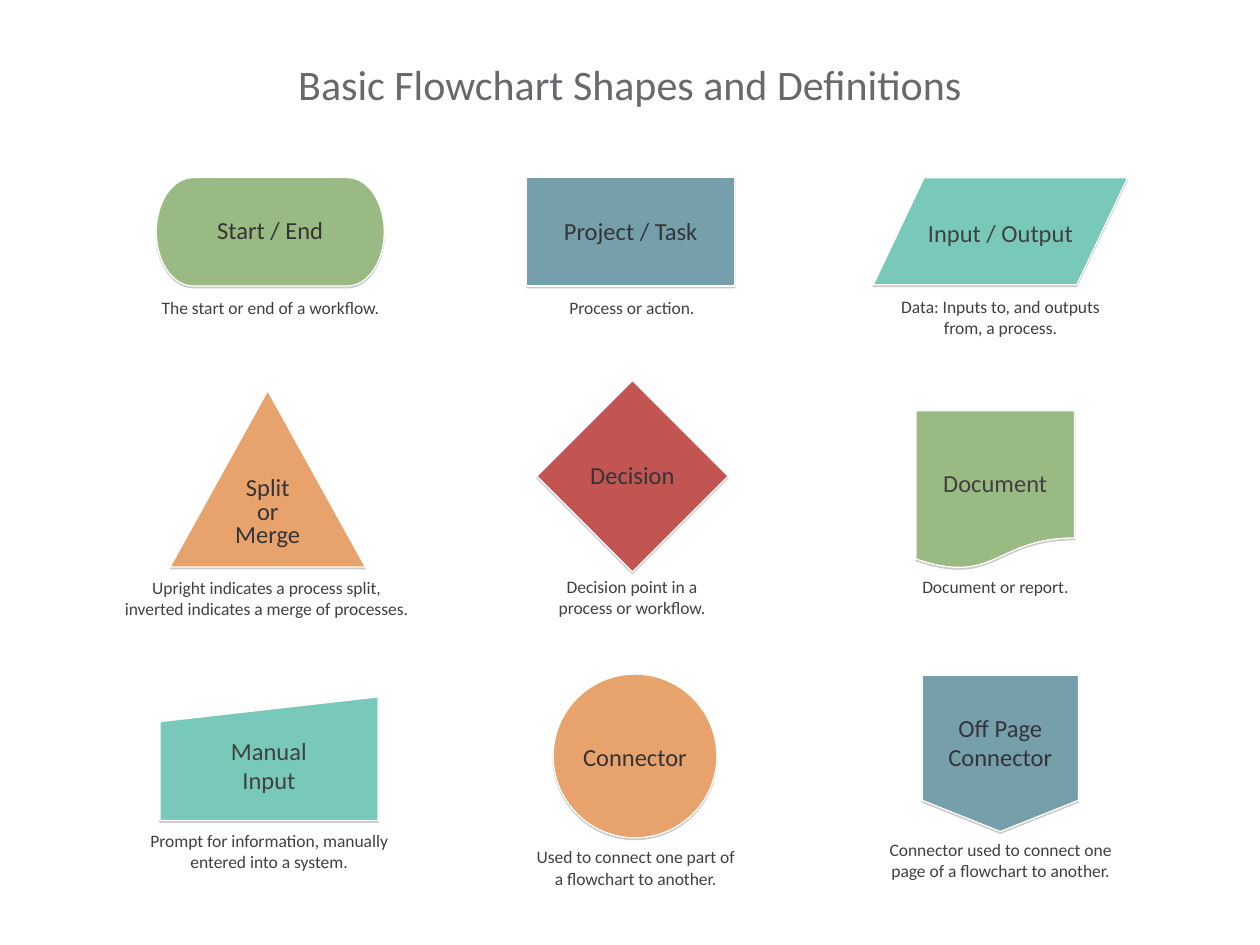
from lxml import etree
from pptx import Presentation
from pptx.dml.color import RGBColor
from pptx.enum import shapes, text
from pptx.oxml.ns import qn
from pptx.util import Pt

GREEN = RGBColor(0x99, 0xBA, 0x82)
BLUE = RGBColor(0x75, 0x9F, 0xAB)
TEAL = RGBColor(0x78, 0xC9, 0xBA)
ORANGE = RGBColor(0xE8, 0xA2, 0x6C)
RED = RGBColor(0xC2, 0x55, 0x52)
WHITE = RGBColor(0xFF, 0xFF, 0xFF)
GREY = RGBColor(0x68, 0x68, 0x6D)
DARK = RGBColor(0x34, 0x34, 0x37)
INK = RGBColor(0x40, 0x40, 0x40)

K = shapes.MSO_SHAPE


def add_text(parent, content, left, top, width, height, size, color, spacing=()):
    sp = parent.shapes.add_textbox(Pt(left), Pt(top), Pt(width), Pt(height))
    tf = sp.text_frame
    tf.word_wrap = True
    tf.auto_size = text.MSO_AUTO_SIZE.SHAPE_TO_FIT_TEXT
    tf.text = content
    for p in tf.paragraphs:
        p.alignment = text.PP_ALIGN.CENTER
        for r in p.runs:
            r.font.name = "Calibri"
            r.font.size = Pt(size)
            r.font.color.rgb = color
    for p, ratio in zip(tf.paragraphs, spacing):
        p.line_spacing = ratio


def add_shadow(sp):
    sp.shadow.inherit = False
    effects = sp._element.spPr.find(qn("a:effectLst"))
    shadow = etree.SubElement(effects, qn("a:outerShdw"), blurRad="0", dist=str(Pt(1)),
                              dir="5400000", algn="t", rotWithShape="0")
    color = etree.SubElement(shadow, qn("a:srgbClr"), val=str(GREY))
    etree.SubElement(color, qn("a:alpha"), val="35000")


prs = Presentation()
prs.slide_width, prs.slide_height = Pt(720), Pt(540)
s = prs.slides.add_slide(prs.slide_layouts[6])

add_text(s, "Basic Flowchart Shapes and Definitions", 0, 30.2, 720, 36, 24, GREY)

# kind, fill, box, label, (top, width, height), ink, spacing, caption, caption box
symbols = [
    (K.FLOWCHART_TERMINATOR, GREEN, (89.3, 101.5, 130.3, 61.9),
     "Start / End", (119.5, 130.3, 24.5), DARK, (),
     "The start or end of a workflow.", (78.5, 166.3, 151.9, 19.4)),
    (K.FLOWCHART_PROCESS, BLUE, (301, 101.5, 118.8, 61.9),
     "Project / Task", (120.2, 118.8, 24.5), DARK, (),
     "Process or action.", (293.8, 166.3, 134.6, 19.4)),
    (K.FLOWCHART_EXTRACT, ORANGE, (97.2, 223.2, 111.6, 100.8),
     "Split\nor\nMerge", (267.8, 85.7, 49.7), DARK, (0.9, 0.8, 0.8),
     "Upright indicates a process split, inverted indicates a merge of processes.",
     (62.6, 326.2, 179.3, 31.7)),
    (K.FLOWCHART_OFFPAGE_CONNECTOR, BLUE, (527, 385.9, 89.3, 89.3),
     "Off Page\vConnector", (403.9, 89.3, 41), DARK, (),
     "Connector used to connect one page of a flowchart to another.",
     (499, 475.9, 145.4, 31.7)),
    (K.FLOWCHART_CONNECTOR, ORANGE, (316.1, 385.2, 93.6, 93.6),
     "Connector", (420.5, 93.6, 24.5), DARK, (),
     "Used to connect one part of a flowchart to another.", (296.6, 480.2, 133.2, 31.7)),
    (K.FLOWCHART_DECISION, RED, (306.7, 217.4, 109.4, 109.4),
     "Decision", (259.2, 109.4, 24.5), DARK, (),
     "Decision point in a process or workflow.", (301, 325.4, 120.2, 31.7)),
    (K.FLOWCHART_DATA, TEAL, (499, 101.5, 145.4, 61.2),
     "Input / Output", (121, 124.6, 24.5), INK, (),
     "Data: Inputs to, and outputs from, a process.", (499, 165.6, 145.4, 31.7)),
    (K.FLOWCHART_DOCUMENT, GREEN, (523.4, 234.7, 90.7, 90.7),
     "Document", (264.2, 90.7, 24.5), INK, (),
     "Document or report.", (518.4, 325.4, 100.8, 19.4)),
    (K.FLOWCHART_MANUAL_INPUT, TEAL, (91.4, 398.2, 124.6, 70.6),
     "Manual\vInput", (416.9, 124.6, 41), INK, (),
     "Prompt for information, manually entered into a system.",
     (77.8, 470.9, 151.9, 31.7)),
]

for kind, fill, box, label, (top, width, height), ink, spacing, caption, caption_box in symbols:
    group = s.shapes.add_group_shape()
    sp = group.shapes.add_shape(kind, *map(Pt, box))
    sp.fill.solid()
    sp.fill.fore_color.rgb = fill
    sp.line.color.rgb = WHITE
    sp.line.width = Pt(0.75)
    add_shadow(sp)
    left = box[0] + (box[2] - width) / 2
    add_text(group, label, left, top, width, height, 14, ink, spacing)
    add_text(group, caption, *caption_box, 10, INK)

prs.save("out.pptx")
